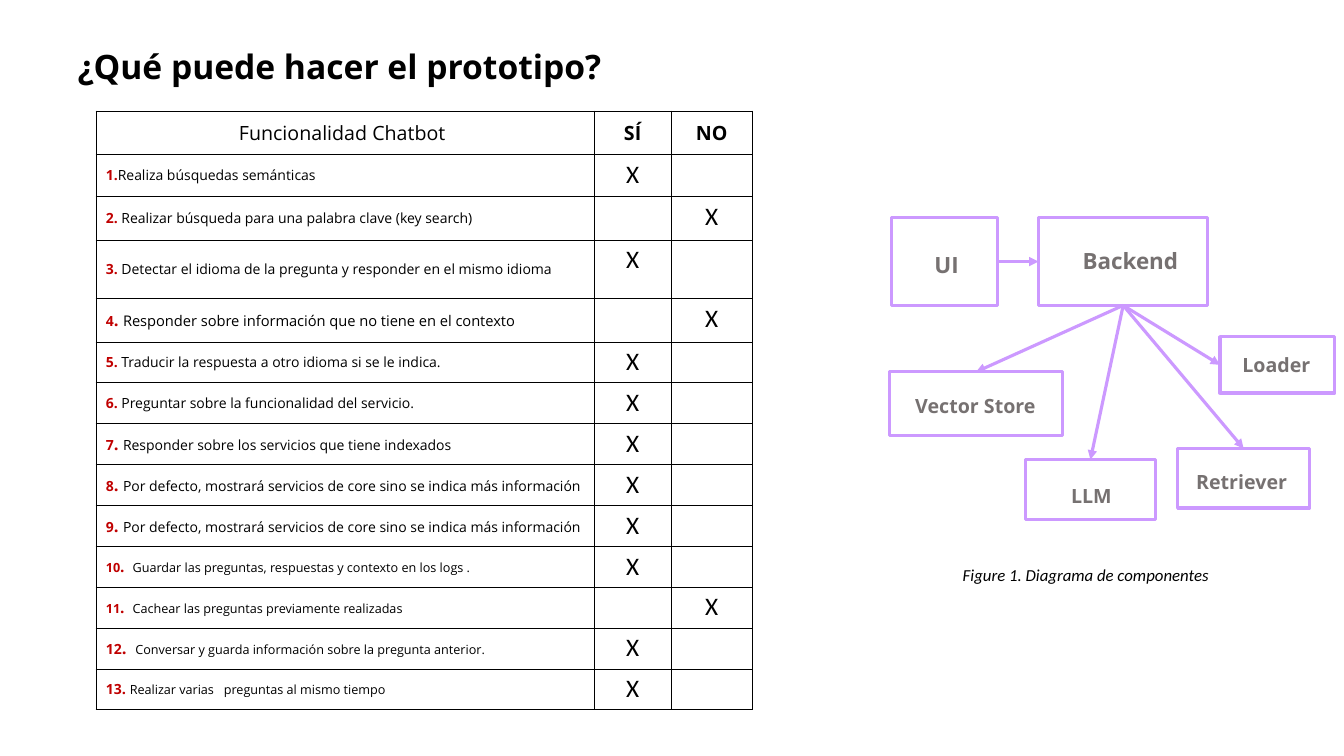
from dataclasses import dataclass

from lxml import etree
from pptx import Presentation
from pptx.dml.color import RGBColor
from pptx.enum.shapes import MSO_CONNECTOR, MSO_SHAPE
from pptx.enum.text import MSO_ANCHOR, MSO_AUTO_SIZE, PP_ALIGN
from pptx.oxml.ns import qn
from pptx.util import Emu, Pt

RECTANGLE = MSO_SHAPE.RECTANGLE
STRAIGHT = MSO_CONNECTOR.STRAIGHT
MIDDLE, TOP = MSO_ANCHOR.MIDDLE, MSO_ANCHOR.TOP
LEFT, CENTER = PP_ALIGN.LEFT, PP_ALIGN.CENTER
NO_AUTOFIT = MSO_AUTO_SIZE.NONE

PX = 9144  # one hundredth of an inch
TITLE_ONLY = 5
SITE_TOP, SITE_LEFT, SITE_BOTTOM, SITE_RIGHT = range(4)


@dataclass(frozen=True)
class Theme:
    sans: str = "Open Sans"
    plain: str = "Calibri"
    ink: str = "000000"
    number: str = "C00000"
    label: str = "767171"
    outline: str = "CC99FF"
    label_edge: str = "FFFFFF"
    title_size: float = 24
    header_size: float = 14
    mark_size: float = 18
    caption_size: float = 12
    outline_width: float = 2.25
    label_edge_width: float = 0.75
    cell_border: float = 0.25


THEME = Theme()


@dataclass(frozen=True)
class Box:
    left: int
    top: int
    width: int
    height: int

    def emu(self) -> tuple[Emu, Emu, Emu, Emu]:
        return (Emu(self.left * PX), Emu(self.top * PX),
                Emu(self.width * PX), Emu(self.height * PX))


@dataclass(frozen=True)
class Feature:
    number: str
    dot: str
    text: str
    supported: bool = True
    number_size: float = 10
    dot_size: float = 10
    text_size: float = 10


@dataclass(frozen=True)
class Component:
    name: str
    frame: Box
    label: Box
    size: float = 14
    align: PP_ALIGN = CENTER


@dataclass(frozen=True)
class Link:
    source: str
    source_site: int
    target: str
    target_site: int


FEATURES = [
    Feature("1", ".", "Realiza búsquedas semánticas"),
    Feature("2", ". ", "Realizar búsqueda para una palabra clave (key search)", False),
    Feature("3", ". ", "Detectar el idioma de la pregunta y responder en el mismo idioma"),
    Feature("4", ". ", "Responder sobre información que no tiene en el contexto",
            False, 10, 12, 10.5),
    Feature("5", ". ", "Traducir la respuesta a otro idioma si se le indica."),
    Feature("6", ". ", "Preguntar sobre la funcionalidad del servicio."),
    Feature("7", ". ", "Responder sobre los servicios que tiene indexados", dot_size=12),
    Feature("8", ". ", "Por defecto, mostrará servicios de core sino se indica más información",
            dot_size=12),
    Feature("9", ". ", "Por defecto, mostrará servicios de core sino se indica más información",
            dot_size=12),
    Feature("10", ".  ", "Guardar las preguntas, respuestas y contexto en los logs .",
            True, 9, 11, 9),
    Feature("11", ".  ", "Cachear las preguntas previamente realizadas", False, 9, 11, 9),
    Feature("12", ".  ", "Conversar y guarda información sobre la pregunta anterior.",
            True, 10, 12, 9),
    Feature("13", ". ", "Realizar varias   preguntas al mismo tiempo", True, 10, 10.5, 9),
]
HEADERS = ["Funcionalidad Chatbot ", "SÍ", "NO"]
COLUMN_WIDTHS = [494, 77, 80]
ROW_HEIGHTS = [43, 42, 43, 58, 43] + [40] * 9
TABLE_BOX = Box(95, 110, sum(COLUMN_WIDTHS), sum(ROW_HEIGHTS))

COMPONENTS = [
    Component("UI", Box(884, 216, 105, 87), Box(917, 244, 76, 37), 16, LEFT),
    Component("Backend", Box(1030, 216, 168, 87), Box(1064, 239, 130, 38), 16, LEFT),
    Component("Vector Store", Box(882, 369, 172, 63), Box(895, 385, 145, 34)),
    Component("LLM", Box(1017, 456, 129, 59), Box(1030, 475, 105, 34)),
    Component("Loader", Box(1210, 334, 114, 56), Box(1218, 345, 96, 34)),
    Component("Retriever", Box(1168, 445, 131, 59), Box(1174, 461, 115, 34)),
]
LINKS = [
    Link("UI", SITE_RIGHT, "Backend", SITE_LEFT),
    Link("Backend", SITE_BOTTOM, "Vector Store", SITE_TOP),
    Link("Backend", SITE_BOTTOM, "LLM", SITE_TOP),
    Link("Backend", SITE_BOTTOM, "Loader", SITE_LEFT),
    Link("Backend", SITE_BOTTOM, "Retriever", SITE_TOP),
]


def style(font, size: float, color: str, name: str, bold=False, italic=False) -> None:
    font.size, font.name, font.bold, font.italic = Pt(size), name, bold, italic
    font.color.rgb = RGBColor.from_string(color)


def write(frame, text: str, align: PP_ALIGN, size: float, color: str, name: str,
          bold=False, italic=False) -> None:
    paragraph = frame.paragraphs[0]
    paragraph.text, paragraph.alignment = text, align
    style(paragraph.font, size, color, name, bold, italic)


def outline_cell(cell) -> None:
    properties = cell._tc.get_or_add_tcPr()
    for side in ("lnL", "lnR", "lnT", "lnB"):
        border = etree.SubElement(properties, qn(f"a:{side}"), w=str(Pt(THEME.cell_border)))
        fill = etree.SubElement(border, qn("a:solidFill"))
        etree.SubElement(fill, qn("a:srgbClr"), val=THEME.ink)
    cell.fill.background()


def write_feature(cell, feature: Feature) -> None:
    cell.vertical_anchor = MIDDLE
    paragraph = cell.text_frame.paragraphs[0]
    for text, size, color, bold in (
            (feature.number, feature.number_size, THEME.number, True),
            (feature.dot, feature.dot_size, THEME.number, True),
            (feature.text, feature.text_size, THEME.ink, False)):
        run = paragraph.add_run()
        run.text = text
        style(run.font, size, color, THEME.sans, bold)


def add_feature_table(slide) -> None:
    table = slide.shapes.add_table(len(ROW_HEIGHTS), len(HEADERS), *TABLE_BOX.emu()).table
    for column, width in zip(table.columns, COLUMN_WIDTHS):
        column.width = Emu(width * PX)
    for row, height in zip(table.rows, ROW_HEIGHTS):
        row.height = Emu(height * PX)
    for cell in table.iter_cells():
        outline_cell(cell)
    for index, header in enumerate(HEADERS):
        cell = table.cell(0, index)
        cell.vertical_anchor = MIDDLE
        write(cell.text_frame, header, CENTER, THEME.header_size, THEME.ink, THEME.sans, index > 0)
    for row, feature in enumerate(FEATURES, start=1):
        write_feature(table.cell(row, 0), feature)
        mark = table.cell(row, 1 if feature.supported else 2)
        mark.vertical_anchor = TOP
        write(mark.text_frame, "X", CENTER, THEME.mark_size, THEME.ink, THEME.plain)


def add_outline(slide, box: Box, color: str, width: float):
    rectangle = slide.shapes.add_shape(RECTANGLE, *box.emu())
    rectangle.shadow.inherit = False
    rectangle.fill.background()
    rectangle.line.color.rgb = RGBColor.from_string(color)
    rectangle.line.width = Pt(width)
    return rectangle


def add_component(slide, component: Component):
    label = add_outline(slide, component.label, THEME.label_edge, THEME.label_edge_width)
    label.text_frame.word_wrap = True
    write(label.text_frame, component.name, component.align, component.size,
          THEME.label, THEME.sans, bold=True)
    return add_outline(slide, component.frame, THEME.outline, THEME.outline_width)


def add_link(slide, link: Link, frames: dict) -> None:
    arrow = slide.shapes.add_connector(STRAIGHT, 0, 0, 0, 0)
    arrow.begin_connect(frames[link.source], link.source_site)
    arrow.end_connect(frames[link.target], link.target_site)
    arrow.line.color.rgb = RGBColor.from_string(THEME.outline)
    arrow.line.width = Pt(THEME.outline_width)
    etree.SubElement(arrow.line._get_or_add_ln(), qn("a:tailEnd"), type="triangle")
    etree.SubElement(arrow._element.spPr, qn("a:effectLst"))


def main() -> None:
    deck = Presentation()
    deck.slide_width, deck.slide_height = Emu(1333 * PX), Emu(750 * PX)
    slide = deck.slides.add_slide(deck.slide_layouts[TITLE_ONLY])
    title = slide.shapes.title
    title.left, title.top, title.width, title.height = Box(67, 41, 860, 50).emu()
    title.text_frame.auto_size = NO_AUTOFIT
    title.text_frame.vertical_anchor = MIDDLE
    write(title.text_frame, "¿Qué puede hacer el prototipo?", LEFT,
          THEME.title_size, THEME.ink, THEME.sans, bold=True)
    add_feature_table(slide)
    frames = {component.name: add_component(slide, component) for component in COMPONENTS}
    for link in LINKS:
        add_link(slide, link, frames)
    caption = slide.shapes.add_textbox(*Box(945, 555, 302, 30).emu()).text_frame
    caption.word_wrap = True
    write(caption, "Figure 1. Diagrama de componentes", LEFT,
          THEME.caption_size, THEME.ink, THEME.plain, italic=True)
    deck.save("out.pptx")


if __name__ == "__main__":
    main()
